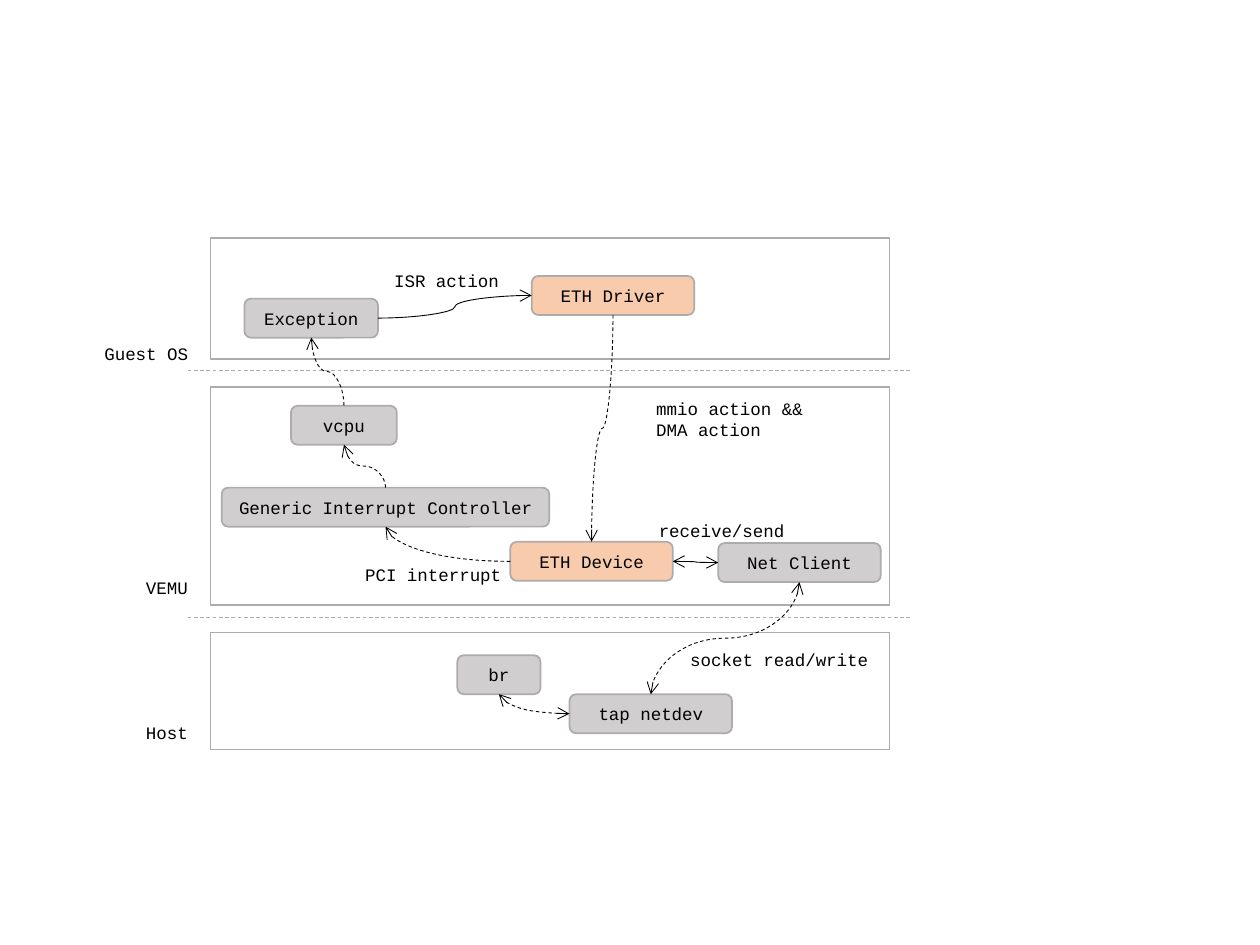
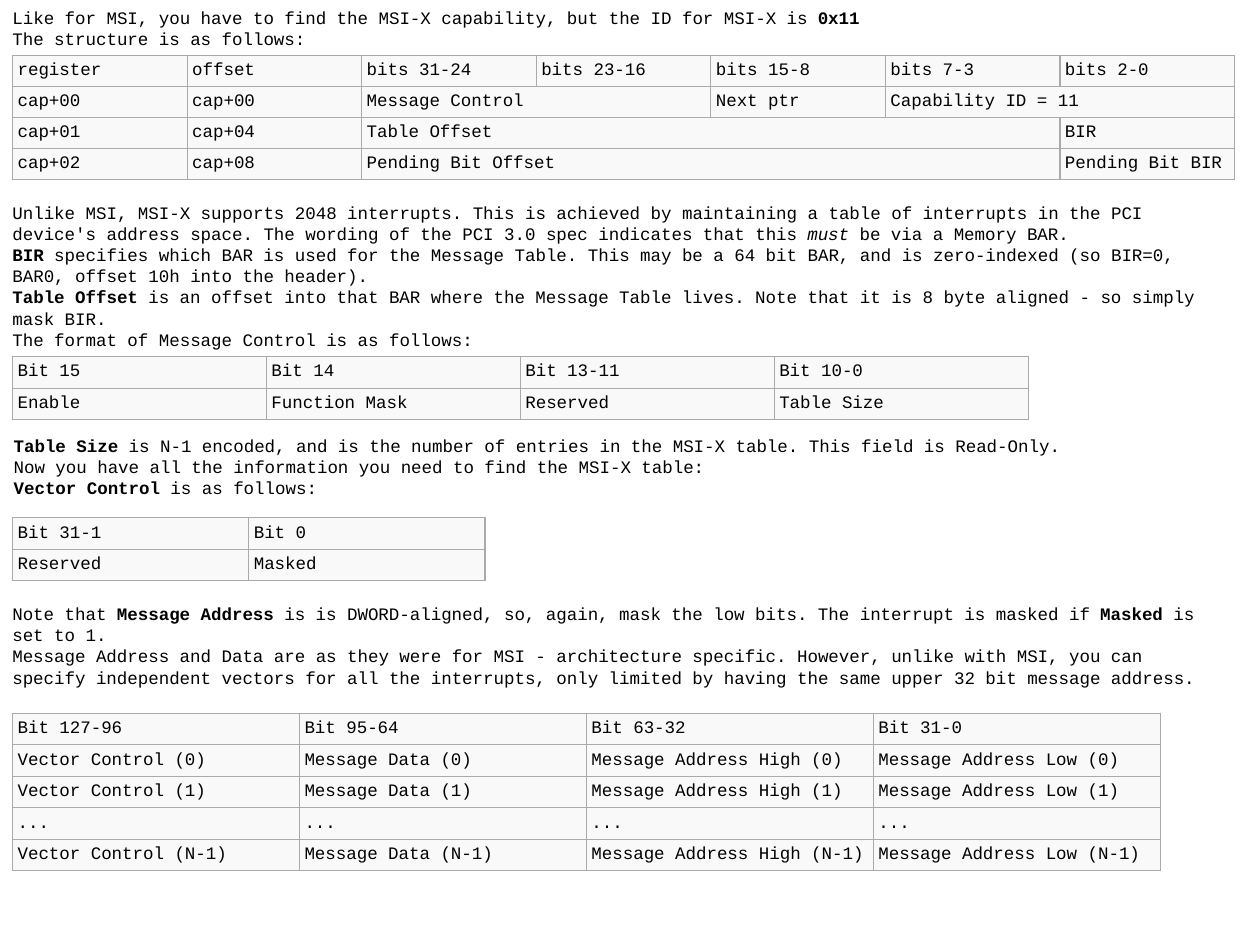
from lxml import etree
from pptx import Presentation
from pptx.dml.color import RGBColor
from pptx.enum.dml import MSO_LINE
from pptx.enum.shapes import MSO_CONNECTOR, MSO_SHAPE
from pptx.enum.text import MSO_ANCHOR, MSO_AUTO_SIZE, PP_ALIGN
from pptx.oxml.ns import qn
from pptx.util import Inches, Pt

RECTANGLE, ROUNDED = MSO_SHAPE.RECTANGLE, MSO_SHAPE.ROUNDED_RECTANGLE
STRAIGHT, CURVE = MSO_CONNECTOR.STRAIGHT, MSO_CONNECTOR.CURVE
DASH = MSO_LINE.DASH
TOP_ANCHOR, MIDDLE = MSO_ANCHOR.TOP, MSO_ANCHOR.MIDDLE
LEFT_ALIGN, CENTER = PP_ALIGN.LEFT, PP_ALIGN.CENTER
GROW = MSO_AUTO_SIZE.SHAPE_TO_FIT_TEXT

# Connection sites of a rectangle, and the direction in which a line leaves each
TOP, LEFT, BOTTOM, RIGHT = range(4)
HEADINGS = {TOP: (0, -1), LEFT: (-1, 0), BOTTOM: (0, 1), RIGHT: (1, 0)}

FONT, FONT_SIZE = "Courier New", 10
BLACK, GREY_LINE = "000000", "AFABAB"
GREY, ORANGE = "D0CECE", "F8CBAD"
CELL_FILL, CELL_BORDER = "F9F9F9", "AAAAAA"


def color(value):
    return RGBColor.from_string(value)


def inches(*values):
    return [Inches(value) for value in values]


def site(shape, side):
    """Middle of one side of a shape."""
    across, down = HEADINGS[side]
    return (shape.left + shape.width * (1 + across) // 2,
            shape.top + shape.height * (1 + down) // 2)


class Deck:
    """Holds the shared style and the slide being built."""

    def __init__(self):
        self.presentation = Presentation()
        self.presentation.slide_width = Inches(10)
        self.presentation.slide_height = Inches(7.5)
        self.slide = None

    def new_slide(self):
        self.slide = self.presentation.slides.add_slide(
            self.presentation.slide_layouts[6])

    def add_paragraphs(self, frame, paragraphs, align=LEFT_ALIGN):
        """A paragraph is a list of runs: plain text or (text, "b" or "i")."""
        for index, runs in enumerate(paragraphs):
            paragraph = frame.paragraphs[0] if index == 0 else frame.add_paragraph()
            paragraph.alignment = align
            for item in runs:
                text, style = (item, "") if isinstance(item, str) else item
                run = paragraph.add_run()
                run.text = text
                run.font.name = FONT
                run.font.size = Pt(FONT_SIZE)
                run.font.color.rgb = color(BLACK)
                run.font.bold = style == "b"
                run.font.italic = style == "i"

    def text(self, box, paragraphs, wrap=False, anchor=TOP_ANCHOR):
        frame = self.slide.shapes.add_textbox(*inches(*box)).text_frame
        frame.word_wrap = wrap
        frame.auto_size = GROW
        frame.vertical_anchor = anchor
        self.add_paragraphs(frame, paragraphs)

    def box(self, kind, box, fill=None, label=None):
        shape = self.slide.shapes.add_shape(kind, *inches(*box))
        shape.shadow.inherit = False
        shape.line.color.rgb = color(GREY_LINE)
        shape.line.width = Pt(1)
        if fill:
            shape.fill.solid()
            shape.fill.fore_color.rgb = color(fill)
        else:
            shape.fill.background()
        if label:
            shape.text_frame.vertical_anchor = MIDDLE
            self.add_paragraphs(shape.text_frame, [[label]], CENTER)
        return shape

    def line(self, kind, begin, end, line_color, dashed):
        connector = self.slide.shapes.add_connector(kind, *begin, *end)
        connector.line.color.rgb = color(line_color)
        connector.line.width = Pt(0.5)
        if dashed:
            connector.line.dash_style = DASH
        etree.SubElement(connector.element.spPr, qn("a:effectLst"))
        return connector

    def arrow(self, source, source_side, target, target_side,
              dashed=True, both_ways=False):
        """Curved arrow that leaves the source at a right angle to its side."""
        (x1, y1), (x2, y2) = site(source, source_side), site(target, target_side)
        connector = self.line(CURVE, (x1, y1), (x2, y2), BLACK, dashed)
        connector.begin_connect(source, source_side)
        connector.end_connect(target, target_side)

        # Measure the curve along its heading, then turn it into place
        across, down = HEADINGS[source_side]
        along = (x2 - x1) * across + (y2 - y1) * down
        sideways = (y2 - y1) * across - (x2 - x1) * down
        connector.width, connector.height = abs(along), abs(sideways)
        connector.left = (x1 + x2 - connector.width) // 2
        connector.top = (y1 + y2 - connector.height) // 2
        properties = connector.element.spPr
        transform = properties.find(qn("a:xfrm"))
        for name in ("flipH", "flipV"):
            transform.attrib.pop(name, None)
        transform.set("rot", str((270 - 90 * source_side) * 60000))
        if sideways < 0:
            transform.set("flipV", "1")
        if source_side % 2 != target_side % 2:
            properties.find(qn("a:prstGeom")).set("prst", "curvedConnector2")

        line = properties.find(qn("a:ln"))
        for end in ["headEnd", "tailEnd"] if both_ways else ["tailEnd"]:
            etree.SubElement(line, qn(f"a:{end}"), type="arrow")

    def table(self, left, top, width, row_height, rows):
        """None in a row extends the cell to its left."""
        row_count, column_count = len(rows), len(rows[0])
        table = self.slide.shapes.add_table(
            row_count, column_count,
            *inches(left, top, width, row_height * row_count)).table
        table.first_row = table.horz_banding = False
        for row, values in enumerate(rows):
            for column, value in enumerate(values):
                cell = table.cell(row, column)
                self.style_cell(cell)
                if value is None:
                    continue
                self.add_paragraphs(cell.text_frame, [[value]])
                last = column
                while last + 1 < column_count and values[last + 1] is None:
                    last += 1
                if last > column:
                    cell.merge(table.cell(row, last))

    def style_cell(self, cell):
        cell.fill.solid()
        cell.fill.fore_color.rgb = color(CELL_FILL)
        cell.vertical_anchor = MIDDLE
        cell.margin_left = cell.margin_right = Inches(0.04)
        cell.margin_top = cell.margin_bottom = Inches(0.04)
        properties = cell._tc.get_or_add_tcPr()
        for index, side in enumerate("LRTB"):
            border = etree.Element(qn(f"a:ln{side}"), w=str(Pt(0.75)))
            fill = etree.SubElement(border, qn("a:solidFill"))
            etree.SubElement(fill, qn("a:srgbClr"), val=CELL_BORDER)
            properties.insert(index, border)


def build_network_diagram(deck):
    deck.new_slide()

    # Layers and the dividers between them
    for top, height in [(1.89, 0.96), (3.07, 1.73), (5.02, 0.93)]:
        deck.box(RECTANGLE, (1.67, top, 5.39, height))
    for y in (2.94, 4.9):
        deck.line(STRAIGHT, inches(1.49, y), inches(7.23, y), GREY_LINE, True)

    # Components
    components = [
        ("ETH Driver", 4.22, 2.19, 1.29, ORANGE),
        ("ETH Device", 4.05, 4.3, 1.29, ORANGE),
        ("Net Client", 5.7, 4.31, 1.29, GREY),
        ("tap netdev", 4.52, 5.51, 1.29, GREY),
        ("Generic Interrupt Controller", 1.76, 3.87, 2.6, GREY),
        ("vcpu", 2.31, 3.22, 0.84, GREY),
        ("Exception", 1.94, 2.37, 1.06, GREY),
        ("br", 3.63, 5.2, 0.66, GREY),
    ]
    driver, device, client, tap, controller, vcpu, exception, bridge = [
        deck.box(ROUNDED, (left, top, width, 0.31), fill, name)
        for name, left, top, width, fill in components]

    # Interrupt path and data path
    deck.arrow(driver, BOTTOM, device, TOP)
    deck.arrow(device, LEFT, controller, BOTTOM)
    deck.arrow(controller, TOP, vcpu, BOTTOM)
    deck.arrow(vcpu, TOP, exception, BOTTOM)
    deck.arrow(exception, RIGHT, driver, LEFT, dashed=False)
    deck.arrow(device, RIGHT, client, LEFT, dashed=False, both_ways=True)
    deck.arrow(client, BOTTOM, tap, TOP, both_ways=True)
    deck.arrow(bridge, BOTTOM, tap, LEFT, both_ways=True)

    # Layer names and arrow labels
    labels = [
        ("Guest OS", 0.73, 2.67, 0.88),
        ("VEMU", 1.06, 4.53, 0.54),
        ("Host", 1.06, 5.68, 0.54),
        ("ISR action", 3.03, 2.09, 1.04),
        ("receive/send", 5.13, 4.08, 1.21),
        ("PCI interrupt", 2.8, 4.43, 1.3),
        ("socket read/write", 5.38, 5.1, 1.63),
    ]
    for label, left, top, width in labels:
        deck.text((left, top, width, 0.27), [[label]])
    deck.text((5.11, 3.11, 1.38, 0.44), [["mmio action &&"], ["DMA action"]])


def build_msix_tables(deck):
    deck.new_slide()

    # Capability structure
    deck.text((0, 0, 7.02, 0.44), [
        ["Like for MSI, you have to find the MSI-X capability, "
         "but the ID for MSI-X is ", ("0x11", "b")],
        ["The structure is as follows:"],
    ], anchor=MIDDLE)
    deck.table(0.1, 0.44, 9.7, 0.24, [
        ["register", "offset", "bits 31-24", "bits 23-16", "bits 15-8",
         "bits 7-3", "bits 2-0"],
        ["cap+00", "cap+00", "Message Control", None, "Next ptr",
         "Capability ID = 11", None],
        ["cap+01", "cap+04", "Table Offset", None, None, None, "BIR"],
        ["cap+02", "cap+08", "Pending Bit Offset", None, None, None,
         "Pending Bit BIR"],
    ])

    # Message Control
    deck.text((0, 1.55, 9.88, 1.28), [
        ["Unlike MSI, MSI-X supports 2048 interrupts. This is achieved by "
         "maintaining a table of interrupts in the PCI device's address space. "
         "The wording of the PCI 3.0 spec indicates that this ",
         ("must", "i"), " be via a Memory BAR."],
        [("BIR", "b"), " specifies which BAR is used for the Message Table. "
         "This may be a 64 bit BAR, and is zero-indexed (so BIR=0, BAR0, "
         "offset 10h into the header)."],
        [("Table Offset", "b"), " is an offset into that BAR where the Message "
         "Table lives. Note that it is 8 byte aligned - so simply mask BIR."],
        ["The format of Message Control is as follows:"],
    ], wrap=True, anchor=MIDDLE)
    deck.table(0.1, 2.83, 8.06, 0.25, [
        ["Bit 15", "Bit 14", "Bit 13-11", "Bit 10-0"],
        ["Enable", "Function Mask", "Reserved", "Table Size"],
    ])

    # Vector Control
    deck.text((0.01, 3.4, 9.88, 0.61), [
        [("Table Size", "b"), " is N-1 encoded, and is the number of entries in "
         "the MSI-X table. This field is Read-Only."],
        ["Now you have all the information you need to find the MSI-X table:"],
        [("Vector Control", "b"), " is as follows:"],
    ], wrap=True)
    deck.table(0.1, 4.11, 3.75, 0.25, [
        ["Bit 31-1", "Bit 0"],
        ["Reserved", "Masked"],
    ])

    # Message table entries
    deck.text((0, 4.74, 9.7, 0.77), [
        ["Note that ", ("Message Address", "b"), " is is DWORD-aligned, so, "
         "again, mask the low bits. The interrupt is masked if ",
         ("Masked", "b"), " is set to 1."],
        ["Message Address and Data are as they were for MSI - architecture "
         "specific. However, unlike with MSI, you can specify independent "
         "vectors for all the interrupts, only limited by having the same "
         "upper 32 bit message address."],
    ], wrap=True)
    fields = ["Vector Control", "Message Data", "Message Address High",
              "Message Address Low"]
    first, second, last = [[f"{field} ({entry})" for field in fields]
                           for entry in ("0", "1", "N-1")]
    deck.table(0.1, 5.66, 9.11, 0.25, [
        ["Bit 127-96", "Bit 95-64", "Bit 63-32", "Bit 31-0"],
        first, second, ["..."] * len(fields), last,
    ])


def main():
    deck = Deck()
    build_network_diagram(deck)
    build_msix_tables(deck)
    deck.presentation.save("out.pptx")


if __name__ == "__main__":
    main()
